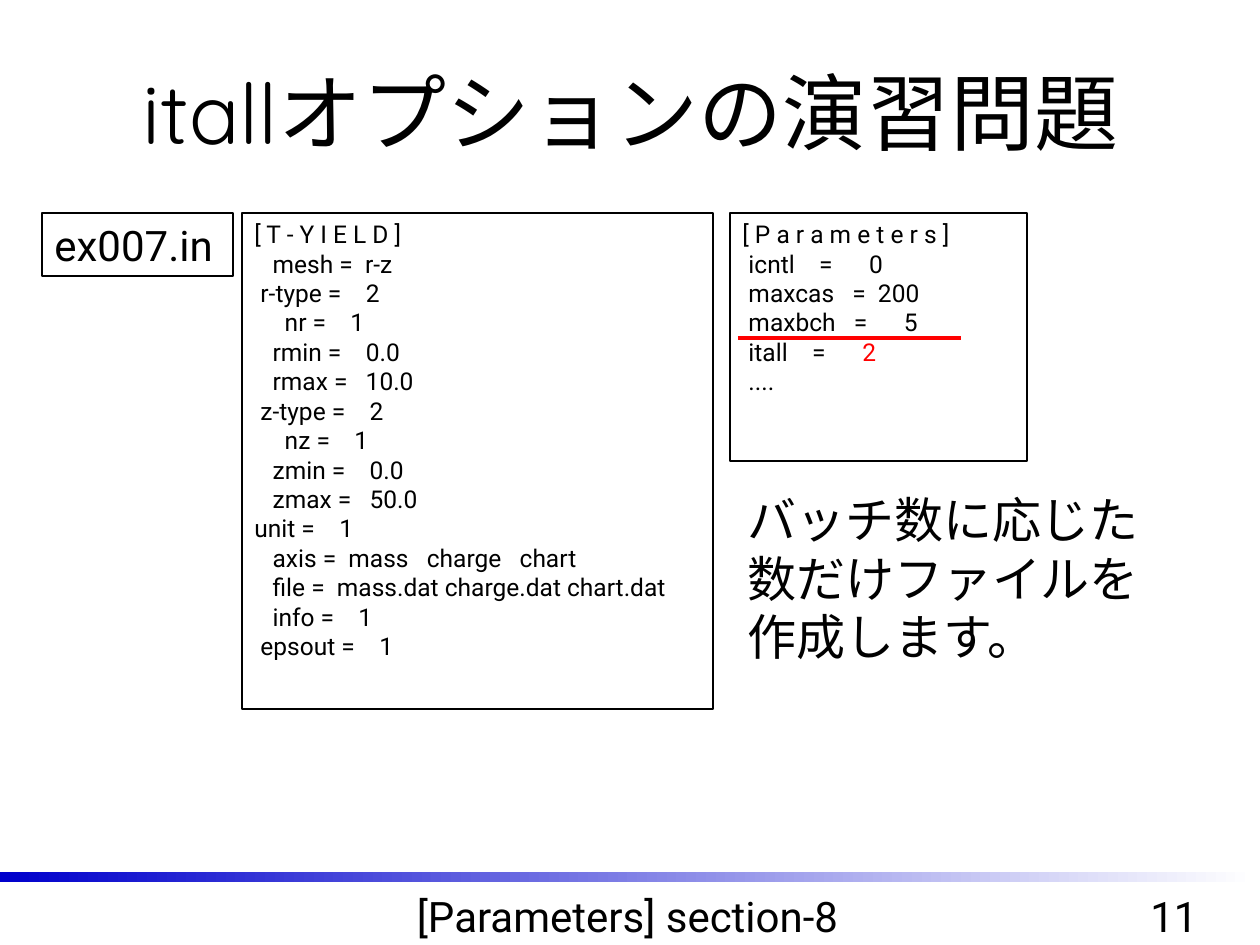
import pptx
import pptx.dml.color
import pptx.enum.shapes
import pptx.enum.text
import pptx.oxml.ns
import pptx.util
from lxml import etree

PX = 914400 / 126
ALIGN = pptx.enum.text.PP_ALIGN
ANCHOR = pptx.enum.text.MSO_ANCHOR
RECTANGLE = pptx.enum.shapes.MSO_SHAPE.RECTANGLE


def color(hex_string):
    return pptx.dml.color.RGBColor.from_string(hex_string)


def write(box, lines, size, font="Roboto", align=ALIGN.LEFT, anchor=ANCHOR.TOP, wrap=True):
    """Fill a box with paragraphs, each a list of (text, colour) spans."""
    frame = box.text_frame
    frame.word_wrap = wrap
    frame.vertical_anchor = anchor
    for index, spans in enumerate(lines):
        para = frame.paragraphs[0] if index == 0 else frame.add_paragraph()
        para.alignment = align
        for text, hex_string in spans:
            span = para.add_run()
            span.text = text
            span.font.size = pptx.util.Pt(size)
            span.font.name = font
            span.font.color.rgb = color(hex_string)


deck = pptx.Presentation()
deck.slide_width = round(1260 * PX)
deck.slide_height = round(945 * PX)
page = deck.slides.add_slide(deck.slide_layouts[5])

# Title
title = page.shapes.title
title.left, title.top, title.width, title.height = [round(n * PX) for n in (32, 32, 1197, 157)]
write(title, [[("itallオプションの演習問題", "000000")]], 48, "Quicksand", ALIGN.CENTER, ANCHOR.MIDDLE)

# Footer band
band = page.shapes.add_shape(RECTANGLE, *[round(n * PX) for n in (0, 872, 1255, 10)])
band.shadow.inherit = False
band.line.fill.background()
band.fill.gradient()
band.fill.gradient_angle = 0
for stop, position, hex_string in zip(band.fill.gradient_stops, (0, 1), ("0000CC", "FFFFFF")):
    stop.position = position
    stop.color.rgb = color(hex_string)

# Plain text
for area, text, size, font, align in [
    ((302, 884, 651, 61), "[Parameters] section-8", 24, "Roboto", ALIGN.CENTER),
    ((1124, 884, 100, 61), "11", 24, "Roboto", ALIGN.CENTER),
    ((735, 483, 446, 189), "バッチ数に応じた数だけファイルを作成します。", 28, "Quicksand", ALIGN.LEFT),
]:
    box = page.shapes.add_textbox(*[round(n * PX) for n in area])
    write(box, [[(text, "000000")]], size, font, align)

# Framed input listings
yield_code = """[ T - Y I E L D ]
   mesh =  r-z
 r-type =    2
     nr =    1
   rmin =    0.0
   rmax =   10.0
 z-type =    2
     nz =    1
   zmin =    0.0
   zmax =   50.0
unit =    1
   axis =  mass   charge   chart
   file =  mass.dat charge.dat chart.dat
   info =    1
 epsout =    1"""
parameter_code = """[ P a r a m e t e r s ]
 icntl    =      0
 maxcas   =  200
 maxbch   =      5
 itall    =      |2
 ...."""

for area, code, size, fill, anchor, wrap in [
    ((730, 213, 297, 248), parameter_code, 14, "FFFFFF", ANCHOR.TOP, True),
    ((42, 213, 191, 63), "ex007.in", 24, None, ANCHOR.TOP, False),
    ((242, 213, 471, 496), yield_code, 14, "FFFFFF", ANCHOR.TOP, True),
]:
    box = page.shapes.add_shape(RECTANGLE, *[round(n * PX) for n in area])
    box.shadow.inherit = False
    if fill:
        box.fill.solid()
        box.fill.fore_color.rgb = color(fill)
    else:
        box.fill.background()
    box.line.color.rgb = color("000000")
    box.line.width = pptx.util.Pt(1.5)
    # The part of a line after "|" is highlighted in red
    lines = [list(zip(line.split("|"), ("000000", "FF0000"))) for line in code.splitlines()]
    write(box, lines, size, anchor=anchor, wrap=wrap)

# Red rule above the itall setting
rule = page.shapes.add_connector(
    pptx.enum.shapes.MSO_CONNECTOR.STRAIGHT, *[round(n * PX) for n in (738, 338, 961, 338)]
)
rule.line.color.rgb = color("FF0000")
rule.line.width = pptx.util.Pt(2)
etree.SubElement(rule._element.spPr, pptx.oxml.ns.qn("a:effectLst"))

deck.save("out.pptx")
